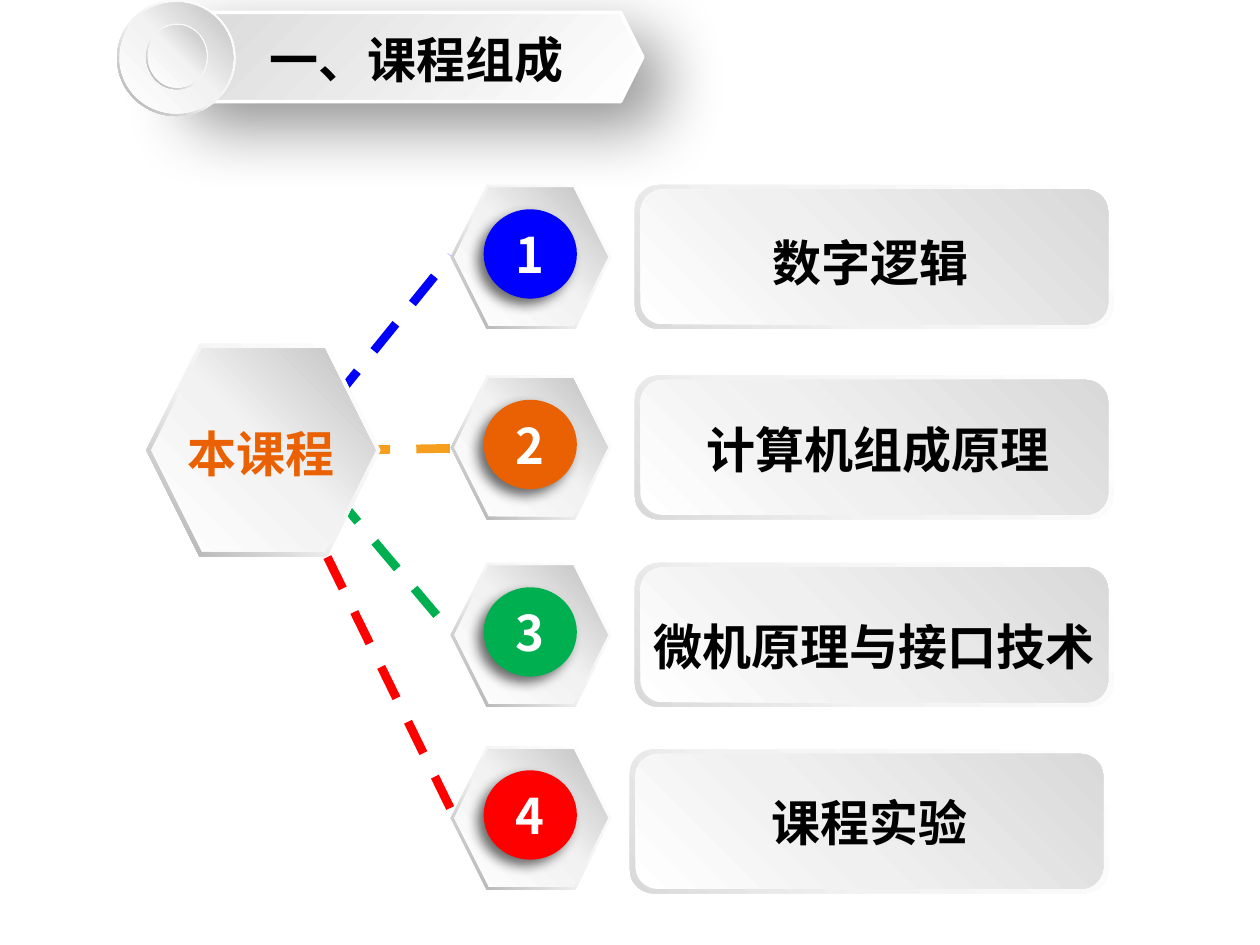
"""Build the course structure slide: a hub linked to four numbered parts."""
import pptx
import pptx.dml.color
import pptx.enum.dml
import pptx.enum.shapes
import pptx.enum.text
import pptx.oxml
import pptx.oxml.ns
import pptx.util
from lxml import etree

Cm = pptx.util.Cm
Pt = pptx.util.Pt
KIND = pptx.enum.shapes.MSO_SHAPE
ALIGN = pptx.enum.text.PP_ALIGN
ANCHOR = pptx.enum.text.MSO_ANCHOR

FONT = "Noto Sans CJK SC"
TITLE = "一、课程组成"
HUB = "本课程"
PARTS = [
    {"label": "数字逻辑", "color": "0000FF", "top": 3.73, "panel": (12.8, 3.73),
     "text_box": (15.29, 4.04, 5.92, 2.24)},
    {"label": "计算机组成原理", "color": "EA6103", "top": 7.57, "panel": (12.8, 7.57),
     "text_box": (13.97, 7.82, 7.95, 2.24)},
    {"label": "微机原理与接口技术", "color": "00B050", "top": 11.35, "panel": (12.8, 11.35),
     "text_box": (12.9, 11.79, 9.98, 2.24)},
    {"label": "课程实验", "color": "FF0000", "top": 15.04, "panel": (12.7, 15.11),
     "text_box": None},
]
LINKS = [
    ("00B050", (6.76, 9.98, 9.14, 12.8)),
    ("F69F1E", (7.16, 9.07, 9.07, 9.04)),
    ("0000FF", (6.76, 8.03, 9.09, 5.16)),
    ("FF0000", (6.6, 11.23, 9.17, 16.48)),
]
METAL_RIM = [(0, "FFFFFF"), (55, "F2F2F2"), (100, "A6A6A6")]
METAL_FACE = [(0, "FFFFFF"), (51, "F2F2F2"), (100, "BFBFBF")]
PANEL_RIM = [(0, "FFFFFF"), (62, "F2F2F2"), (100, "D9D9D9")]
PANEL_FACE = [(0, "FFFFFF"), (42, "F0F0F0"), (100, "D9D9D9")]
BANNER_FILL = [(0, "FFFFFF"), (100, "D9D9D9")]
DISC_SHADOW = (57, 7, 5, 135)
BANNER_SHADOW = (42, 38, 19, 45)


def rgb(value):
    return pptx.dml.color.RGBColor.from_string(value)


def write(frame, text, color, align=ALIGN.CENTER, anchor=ANCHOR.MIDDLE, spacing=None):
    frame.text = text
    frame.word_wrap = True
    frame.vertical_anchor = anchor
    para = frame.paragraphs[0]
    para.alignment = align
    para.line_spacing = spacing
    span = para.runs[0]
    span.font.size = Pt(28)
    span.font.bold = True
    span.font.color.rgb = rgb(color)
    span.font.name = FONT
    east_asian = etree.SubElement(span.font._element, pptx.oxml.ns.qn("a:ea"))
    east_asian.set("typeface", FONT)


def add_text(page, box, text, color, **style):
    text_box = page.shapes.add_textbox(*map(Cm, box))
    write(text_box.text_frame, text, color, **style)
    return text_box


def add_shape(page, kind, box):
    shape = page.shapes.add_shape(kind, *map(Cm, box))
    shape.line.fill.background()
    shape.shadow.inherit = False
    return shape


def set_gradient(shape, stops, angle):
    shape.fill.gradient()
    gradient = shape.element.spPr.find(pptx.oxml.ns.qn("a:gradFill"))
    marks = "".join(f'<a:gs pos="{place * 1000}"><a:srgbClr val="{color}"/></a:gs>'
                    for place, color in stops)
    source = pptx.oxml.parse_xml(
        f'<a:gradFill {pptx.oxml.ns.nsdecls("a")}><a:gsLst>{marks}</a:gsLst>'
        f'<a:lin ang="{angle * 60000}" scaled="0"/></a:gradFill>')
    gradient[:] = list(source)


def set_shadow(shape, alpha, blur, distance, angle):
    effects = shape.element.spPr.find(pptx.oxml.ns.qn("a:effectLst"))
    effects.append(pptx.oxml.parse_xml(
        f'<a:outerShdw {pptx.oxml.ns.nsdecls("a")} blurRad="{Pt(blur)}" '
        f'dist="{Pt(distance)}" dir="{angle * 60000}" algn="ctr" rotWithShape="0">'
        f'<a:srgbClr val="000000"><a:alpha val="{alpha * 1000}"/></a:srgbClr></a:outerShdw>'))


def add_bevel(page, rim_kind, face_kind, box, inset, rim_stops=METAL_RIM, face_stops=METAL_FACE):
    left, top, width, height = box
    dx, dy = inset
    rim = add_shape(page, rim_kind, box)
    set_gradient(rim, rim_stops, 135)
    face = add_shape(page, face_kind, (left + dx, top + dy, width - 2 * dx, height - 2 * dy))
    set_gradient(face, face_stops, 315)
    return rim, face


def add_link(page, color, ends):
    link = page.shapes.add_connector(pptx.enum.shapes.MSO_CONNECTOR.STRAIGHT, *map(Cm, ends))
    link.line.color.rgb = rgb(color)
    link.line.width = Pt(5)
    link.line.dash_style = pptx.enum.dml.MSO_LINE.DASH
    etree.SubElement(link.element.spPr, pptx.oxml.ns.qn("a:effectLst"))


def add_part(page, number, part):
    rim, face = add_bevel(page, KIND.ROUNDED_RECTANGLE, KIND.ROUNDED_RECTANGLE,
                          (*part["panel"], 9.65, 2.9), (0.11, 0.09), PANEL_RIM, PANEL_FACE)
    if part["text_box"]:
        label = add_text(page, part["text_box"], part["label"], "000000",
                         align=ALIGN.LEFT, spacing=1.2)
        label.text_frame.margin_left = label.text_frame.margin_right = Cm(0.28)
        label.text_frame.margin_top = label.text_frame.margin_bottom = Cm(0.18)
    else:
        write(face.text_frame, part["label"], "000000")
    add_bevel(page, KIND.HEXAGON, KIND.HEXAGON, (9.09, part["top"], 3.23, 2.9), (0.07, 0.06))
    disc = add_shape(page, KIND.OVAL, (9.75, part["top"] + 0.49, 1.88, 1.8))
    disc.fill.solid()
    disc.fill.fore_color.rgb = rgb(part["color"])
    set_shadow(disc, *DISC_SHADOW)
    write(disc.text_frame, str(number), "FFFFFF")


def add_banner(page):
    banner = add_shape(page, KIND.HEXAGON, (3.18, 0.25, 9.78, 1.8))
    set_gradient(banner, BANNER_FILL, 225)
    banner.line.color.rgb = rgb("FFFFFF")
    banner.line.width = Pt(2)
    set_shadow(banner, *BANNER_SHADOW)
    for box, inset in [((2.36, 0, 2.39, 2.34), 0.05), ((2.95, 0.48, 1.24, 1.32), 0.03)]:
        ring, knob = add_bevel(page, KIND.DONUT, KIND.OVAL, box, (inset, inset))
        ring.adjustments[0] = 0.05
    title = page.shapes.title
    title.left, title.top, title.width, title.height = map(Cm, (5.18, 0.46, 8.61, 1.45))
    write(title.text_frame, TITLE, "000000", align=ALIGN.LEFT, anchor=ANCHOR.TOP)
    title.element.getparent().append(title.element)


def main():
    deck = pptx.Presentation()
    deck.slide_width, deck.slide_height = Cm(25.4), Cm(19.05)
    page = deck.slides.add_slide(deck.slide_layouts[5])
    for color, ends in LINKS:
        add_link(page, color, ends)
    add_bevel(page, KIND.HEXAGON, KIND.HEXAGON, (2.95, 6.93, 4.72, 4.29), (0.1, 0.1))
    add_text(page, (3.38, 8.41, 3.76, 1.45), HUB, "EA6103", anchor=ANCHOR.TOP)
    for number, part in enumerate(PARTS, start=1):
        add_part(page, number, part)
    add_banner(page)
    deck.save("out.pptx")


if __name__ == "__main__":
    main()
